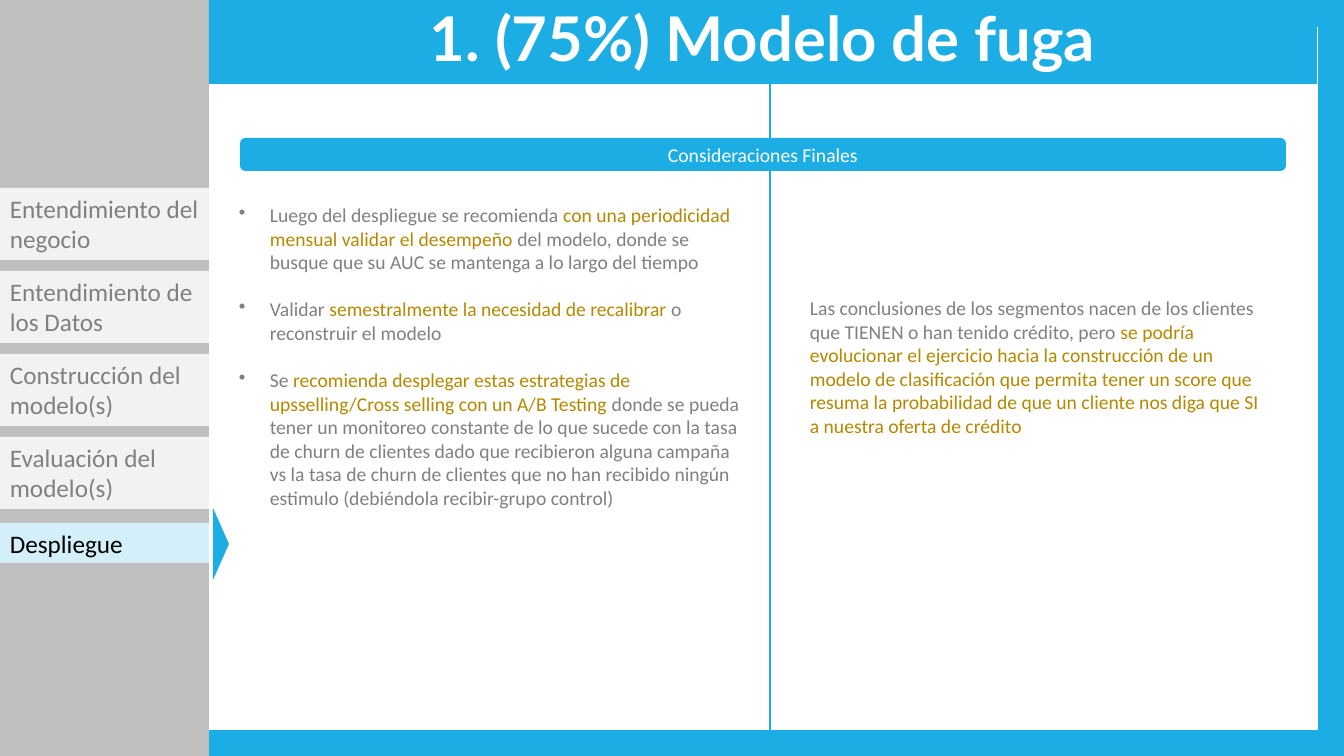
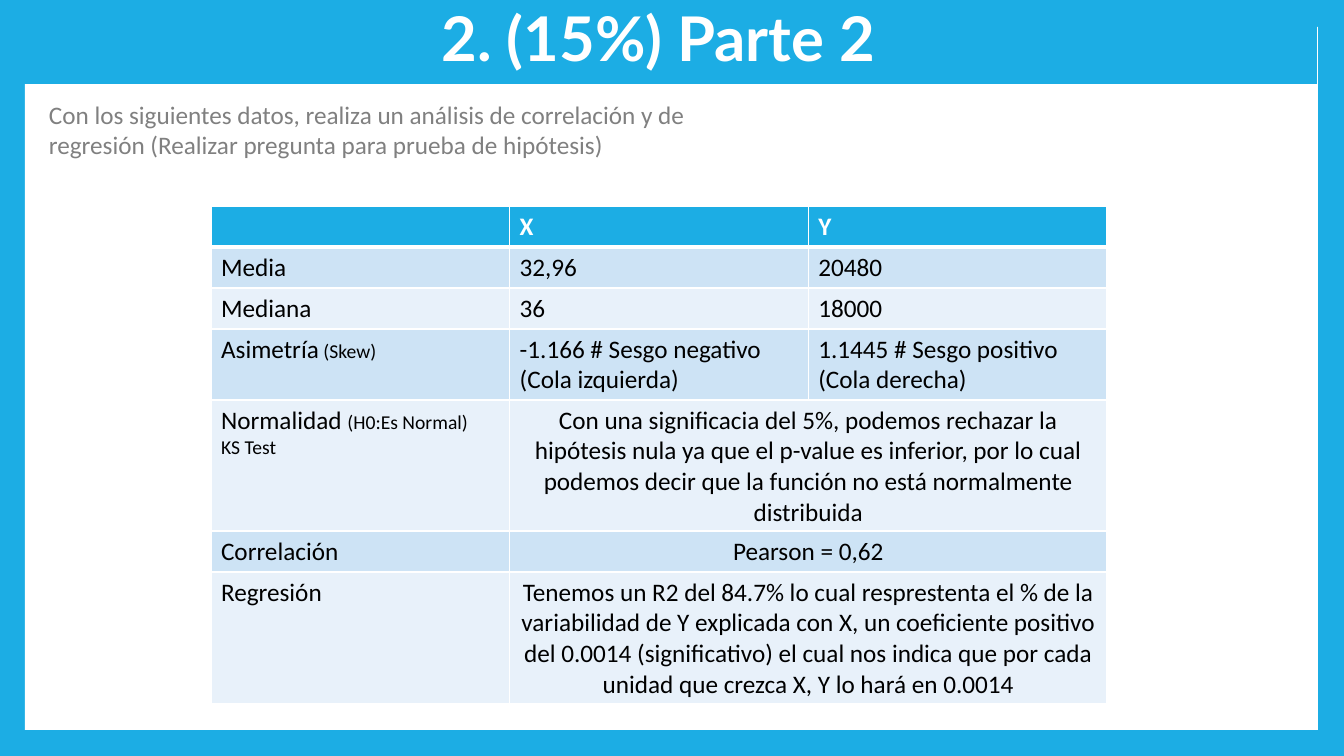
"""Builds two slides: the closing notes on a churn model and a correlation exercise."""
import pptx
import pptx.dml.color
import pptx.enum.dml
import pptx.enum.shapes
import pptx.enum.text
import pptx.oxml.ns
import pptx.util
from dataclasses import dataclass
from lxml import etree

SHAPE = pptx.enum.shapes.MSO_SHAPE
ALIGN = pptx.enum.text.PP_ALIGN
ANCHOR = pptx.enum.text.MSO_ANCHOR
qn = pptx.oxml.ns.qn


@dataclass(frozen=True)
class Theme:
    """Colours, fonts and type sizes shared by the slides."""
    blue: str = "1CADE4"
    pale_blue: str = "D2EFFA"
    white: str = "FFFFFF"
    black: str = "000000"
    sidebar: str = "BFBFBF"
    step: str = "F2F2F2"
    grey: str = "808080"
    gold: str = "B48900"
    bands: tuple = ("CDE3F5", "E8F1FA")
    title_font: str = "Lato"
    body_font: str = "Calibri"
    title: int = 44
    body: int = 18
    small: int = 14


T = Theme()
WIDTH, HEIGHT = 1344, 756
PANEL = (25, 27, 1293, 703)
TITLE_RIGHT, TITLE_HEIGHT = 1317, 84
SIDEBAR_WIDTH = 209
STEP_TOP, STEP_PITCH, STEP_HEIGHT = 188, 83, 72
ACTIVE_TOP, ACTIVE_HEIGHT = 523, 40
ARROW_LENGTH, ARROW_CENTRE = 16, 221
DIVIDER_X, DIVIDER_BOTTOM = 770, 739
BULLET_INDENT = 31

# Odd-numbered parts of a paragraph are emphasised.
MODEL_TITLE = "1. (75%) Modelo de fuga"
STEPS = ["Entendimiento del negocio", "Entendimiento de los Datos",
         "Construcción del modelo(s)", "Evaluación del modelo(s)"]
ACTIVE_STEP = "Despliegue"
HEADING = "Consideraciones Finales"
NOTES = [
    ("Luego del despliegue se recomienda ",
     "con una periodicidad mensual validar el desempeño ",
     "del modelo, donde se busque que su AUC se mantenga a lo largo del tiempo"),
    ("Validar ", "semestralmente la necesidad de recalibrar", " o reconstruir el modelo"),
    ("Se ",
     "recomienda desplegar estas estrategias de upsselling/Cross selling con un A/B Testing",
     " donde se pueda tener un monitoreo constante de lo que sucede con la tasa de churn "
     "de clientes dado que recibieron alguna campaña vs la tasa de churn de clientes que "
     "no han recibido ningún estimulo (debiéndola recibir-grupo control)"),
]
CONCLUSION = [
    ("Las conclusiones de los segmentos nacen de los clientes que TIENEN o han tenido "
     "crédito, pero ",
     "se podría evolucionar el ejercicio hacia la construcción de un modelo de "
     "clasificación que permita tener un score que resuma la probabilidad de que un "
     "cliente nos diga que SI a nuestra oferta de crédito"),
]

DATA_TITLE = "2. (15%) Parte 2"
TASK = [("Con los siguientes datos, realiza un análisis de correlación y de regresión "
         "(Realizar pregunta para prueba de hipótesis)",)]
TABLE_BOX = (211, 206, 896, 496)
ROW_HEIGHTS = [41, 41, 41, 71, 131, 41, 130]
ROWS = [
    ([], [("X",)], [("Y",)]),
    ([("Media",)], [("32,96",)], [("20480",)]),
    ([("Mediana",)], [("36",)], [("18000",)]),
    ([("Asimetría", " (Skew)")],
     [("-1.166 # Sesgo negativo (Cola izquierda)",)],
     [("1.1445 # Sesgo positivo (Cola derecha)",)]),
    ([("Normalidad ", "(H0:Es Normal)"), ("", "KS Test")],
     [("Con una significacia del 5%, podemos rechazar la hipótesis nula ya que el p-value "
       "es inferior, por lo cual podemos decir que la función no está normalmente "
       "distribuida",)]),
    ([("Correlación",)], [("Pearson = 0,62",)]),
    ([("Regresión",)],
     [("Tenemos un R2 del 84.7% lo cual resprestenta el % de la variabilidad de Y "
       "explicada con X, un coeficiente positivo del 0.0014 (significativo) el cual nos "
       "indica que por cada unidad que crezca X, Y lo hará en 0.0014",)]),
]


def px(n):
    return pptx.util.Emu(round(n * 914400 / 100.8))


def rgb(value):
    return pptx.dml.color.RGBColor.from_string(value)


def write(tf, paragraphs, size, color, font=T.body_font, bold=False, align=ALIGN.LEFT,
          accent_color=None, accent_size=None):
    tf.word_wrap = True
    for i, parts in enumerate(paragraphs):
        p = tf.add_paragraph() if i else tf.paragraphs[0]
        p.alignment = align
        p.font.name, p.font.size, p.font.bold = font, pptx.util.Pt(size), bold
        p.font.color.rgb = rgb(color)
        for j, text in enumerate(parts):
            if not text:
                continue
            r = p.add_run()
            r.text = text
            if j % 2 and accent_color:
                r.font.color.rgb = rgb(accent_color)
            if j % 2 and accent_size:
                r.font.size = pptx.util.Pt(accent_size)


def add_block(slide, box, fill, kind=SHAPE.RECTANGLE, anchor=ANCHOR.TOP):
    sp = slide.shapes.add_shape(kind, *map(px, box))
    sp.shadow.inherit = False
    sp.fill.solid()
    sp.fill.fore_color.rgb = rgb(fill)
    sp.line.fill.background()
    sp.text_frame.vertical_anchor = anchor
    return sp


def add_text(slide, box, paragraphs, size, **style):
    tf = slide.shapes.add_textbox(*map(px, box)).text_frame
    write(tf, paragraphs, size, T.grey, **style)
    return tf


def add_base(prs):
    slide = prs.slides.add_slide(prs.slide_layouts[6])
    slide.background.fill.solid()
    slide.background.fill.fore_color.rgb = rgb(T.blue)
    add_block(slide, PANEL, T.white)
    return slide


def add_title(slide, text, left=0):
    sp = add_block(slide, (left, 0, TITLE_RIGHT - left, TITLE_HEIGHT), T.blue,
                   anchor=ANCHOR.MIDDLE)
    write(sp.text_frame, [(text,)], T.title, T.white, T.title_font, True, ALIGN.CENTER)
    sp.text_frame.paragraphs[0].line_spacing = 0.9


def add_step(slide, text, top, height, fill, color):
    sp = add_block(slide, (0, top, SIDEBAR_WIDTH, height), fill)
    write(sp.text_frame, [(text,)], T.body, color)


def add_sidebar(slide):
    for i, step in enumerate(STEPS):
        add_step(slide, step, STEP_TOP + i * STEP_PITCH, STEP_HEIGHT, T.step, T.grey)
    add_step(slide, ACTIVE_STEP, ACTIVE_TOP, ACTIVE_HEIGHT, T.pale_blue, T.black)
    middle = ACTIVE_TOP + ACTIVE_HEIGHT / 2 + 1
    arrow = add_block(slide, (ARROW_CENTRE - STEP_HEIGHT / 2, middle - ARROW_LENGTH / 2,
                              STEP_HEIGHT, ARROW_LENGTH), T.blue, SHAPE.ISOSCELES_TRIANGLE)
    arrow.rotation = 90


def add_bullets(tf):
    for i, p in enumerate(tf.paragraphs):
        p.space_before = pptx.util.Pt(17 if i else 0)
        pPr = p._p.get_or_add_pPr()
        pPr.set("marL", str(px(BULLET_INDENT)))
        pPr.set("indent", str(-px(BULLET_INDENT)))
        bullet = etree.Element(qn("a:buChar"), char="•")
        pPr.find(qn("a:defRPr")).addprevious(bullet)


def add_divider(slide):
    line = slide.shapes.add_connector(pptx.enum.shapes.MSO_CONNECTOR.STRAIGHT, px(DIVIDER_X),
                                      px(TITLE_HEIGHT), px(DIVIDER_X), px(DIVIDER_BOTTOM))
    line.line.color.rgb = rgb(T.blue)
    line.line.width = pptx.util.Pt(0.79)
    etree.SubElement(line._element.spPr, qn("a:effectLst"))


def style_cell(cell, row, fill):
    tcPr = cell._tc.get_or_add_tcPr()
    thick_side = {0: "B", 1: "T"}.get(row)
    for side in "LRTB":
        width = pptx.util.Pt(3 if side == thick_side else 1)
        ln = etree.SubElement(tcPr, qn("a:ln" + side), w=str(width))
        etree.SubElement(etree.SubElement(ln, qn("a:solidFill")), qn("a:srgbClr"), val=T.white)
    cell.fill.solid()
    cell.fill.fore_color.rgb = rgb(fill)


def add_results(slide):
    table = slide.shapes.add_table(len(ROWS), 3, *map(px, TABLE_BOX)).table
    for column in table.columns:
        column.width = px(TABLE_BOX[2] / 3)
    for i, (cells, height) in enumerate(zip(ROWS, ROW_HEIGHTS)):
        table.rows[i].height = px(height)
        fill = T.bands[(i - 1) % 2] if i else T.blue
        for j in range(3):
            style_cell(table.cell(i, j), i, fill)
        merged = len(cells) == 2
        if merged:
            table.cell(i, 1).merge(table.cell(i, 2))
        for j, paragraphs in enumerate(cells):
            write(table.cell(i, j).text_frame, paragraphs, T.body,
                  T.black if i else T.white, bold=not i,
                  align=ALIGN.CENTER if merged and j else ALIGN.LEFT, accent_size=T.small)


def build_model_slide(prs):
    slide = add_base(prs)
    add_block(slide, (0, 0, SIDEBAR_WIDTH, HEIGHT), T.sidebar)
    add_title(slide, MODEL_TITLE, SIDEBAR_WIDTH)
    add_sidebar(slide)
    add_bullets(add_text(slide, (229, 198, 521, 390), NOTES, T.small, accent_color=T.gold))
    add_text(slide, (800, 291, 481, 152), CONCLUSION, T.small, accent_color=T.gold)
    add_divider(slide)
    sp = add_block(slide, (240, 138, 1046, 33), T.blue, SHAPE.ROUNDED_RECTANGLE, ANCHOR.MIDDLE)
    write(sp.text_frame, [(HEADING,)], T.small, T.white, align=ALIGN.CENTER)


def build_data_slide(prs):
    slide = add_base(prs)
    add_title(slide, DATA_TITLE)
    add_text(slide, (39, 94, 672, 72), TASK, T.body)
    add_results(slide)


def main():
    prs = pptx.Presentation()
    prs.slide_width, prs.slide_height = px(WIDTH), px(HEIGHT)
    build_model_slide(prs)
    build_data_slide(prs)
    prs.save("out.pptx")


if __name__ == "__main__":
    main()
